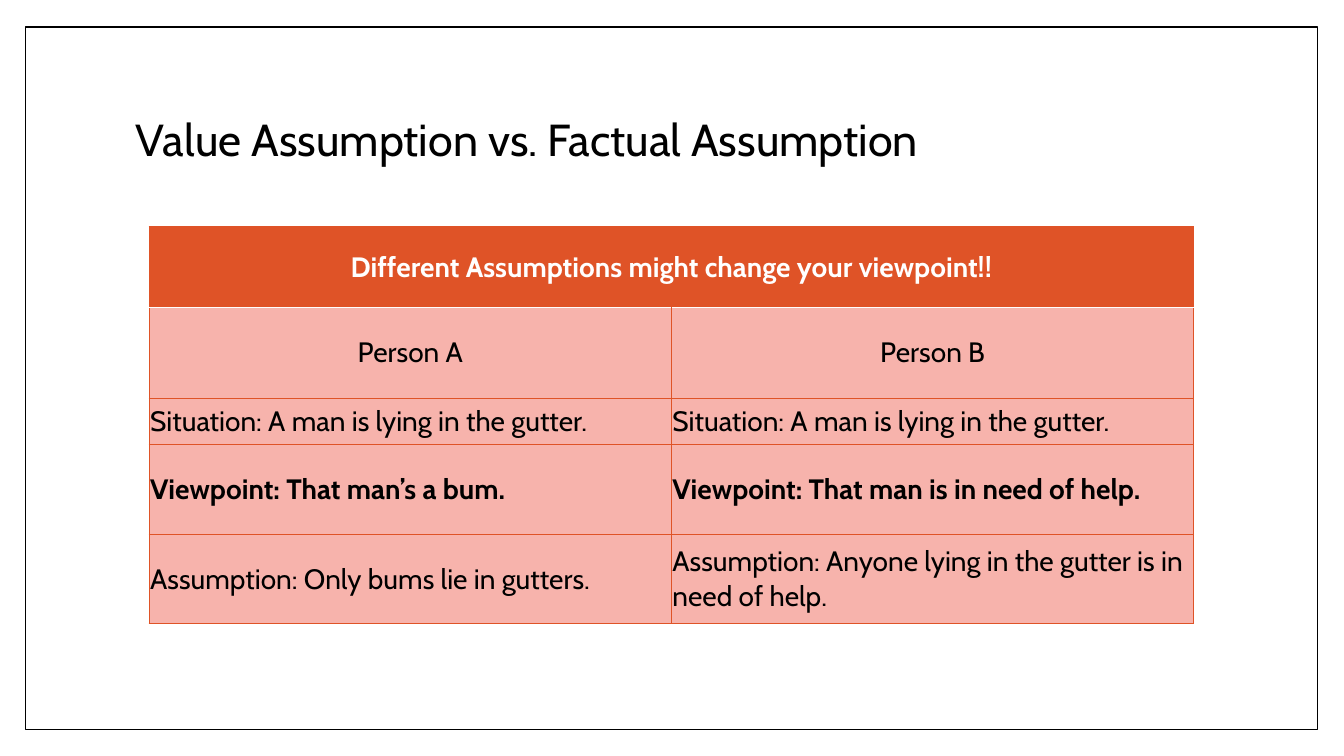
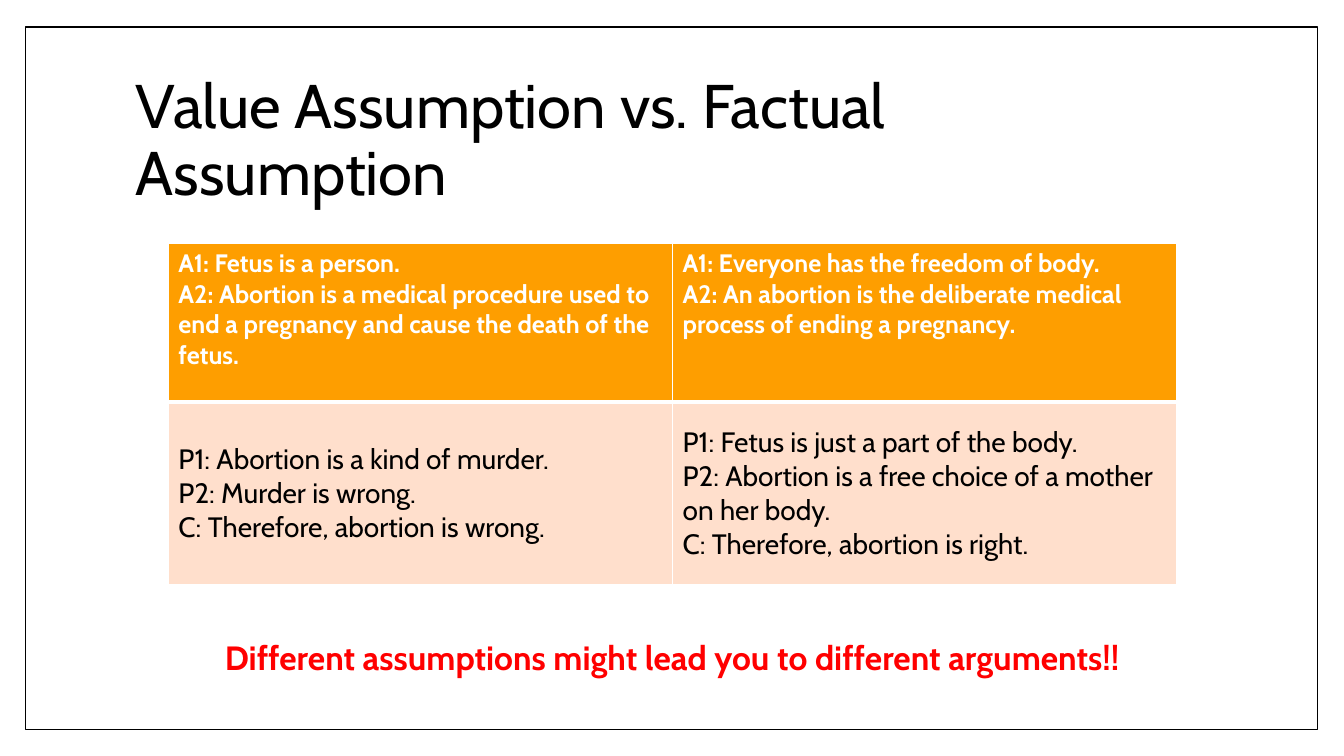
from dataclasses import dataclass

import pptx
import pptx.dml.color
import pptx.enum.shapes
import pptx.enum.text
import pptx.oxml
import pptx.oxml.ns
import pptx.slide
import pptx.table
import pptx.text.text
import pptx.util

EMU_PER_PX = 9144  # 100 px to the inch
FONT = "Cabin"
BLACK, WHITE, RED = "000000", "FFFFFF", "FF0000"
RUST, ROSE = "DF5327", "F7B3AC"
ORANGE, PEACH = "FE9E00", "FFDFCC"
TITLE = "Value Assumption vs. Factual Assumption"

Align = pptx.enum.text.PP_ALIGN
Anchor = pptx.enum.text.MSO_ANCHOR


@dataclass(frozen=True)
class Box:
    left: int
    top: int
    width: int
    height: int

    def emu(self) -> tuple[int, int, int, int]:
        return px(self.left), px(self.top), px(self.width), px(self.height)


@dataclass(frozen=True)
class TextStyle:
    size: int
    color: str = BLACK
    bold: bool = False
    align: Align = Align.LEFT
    line_spacing: float = 1.0


@dataclass(frozen=True)
class Row:
    height: int
    texts: tuple[str, ...]
    style: TextStyle
    fill: str
    anchor: Anchor = Anchor.MIDDLE


@dataclass(frozen=True)
class Grid:
    left: int
    top: int
    col_width: int
    rows: tuple[Row, ...]
    line_color: str
    line_width: float
    header_rule: float  # white line under the first row, in points
    inset_x: int
    inset_y: int


FRAME = Box(25, 27, 1282, 697)
TITLE_BOX = Box(125, 67, 1080, 148)
CLOSING_BOX = Box(203, 627, 927, 50)

HEADING = TextStyle(20, WHITE, bold=True, align=Align.CENTER)
PERSON = TextStyle(20, align=Align.CENTER)
BODY = TextStyle(20)
VIEWPOINT = TextStyle(20, bold=True)
ASSUMPTIONS = TextStyle(18, WHITE, bold=True)
CLOSING = TextStyle(24, RED, bold=True, align=Align.CENTER)

VIEWPOINTS = Grid(
    148, 225, 518,
    (
        Row(80, ("Different Assumptions might change your viewpoint!!",), HEADING, RUST),
        Row(90, ("Person A", "Person B"), PERSON, ROSE),
        Row(46, ("Situation: A man is lying in the gutter.",) * 2, BODY, ROSE),
        Row(89, ("Viewpoint: That man’s a bum.",
                 "Viewpoint: That man is in need of help."), VIEWPOINT, ROSE),
        Row(89, ("Assumption: Only bums lie in gutters.",
                 "Assumption: Anyone lying in the gutter is in need of help."), BODY, ROSE),
    ),
    RUST, 0.79, 1.5, 1, 1,
)

ARGUMENTS = Grid(
    167, 241, 500,
    (
        Row(158, ("A1: Fetus is a person.\n"
                  "A2: Abortion is a medical procedure used to end a pregnancy "
                  "and cause the death of the fetus.",
                  "A1: Everyone has the freedom of body.\n"
                  "A2: An abortion is the deliberate medical process of ending a pregnancy."),
            ASSUMPTIONS, ORANGE, Anchor.TOP),
        Row(181, ("P1: Abortion is a kind of murder.\n"
                  "P2: Murder is wrong.\n"
                  "C: Therefore, abortion is wrong.",
                  "P1: Fetus is just a part of the body.\n"
                  "P2: Abortion is a free choice of a mother on her body.\n"
                  "C: Therefore, abortion is right."), BODY, PEACH),
    ),
    WHITE, 1, 3, 10, 5,
)


def px(length: int) -> int:
    return pptx.util.Emu(length * EMU_PER_PX)


def rgb(color: str) -> pptx.dml.color.RGBColor:
    return pptx.dml.color.RGBColor.from_string(color)


def write(tf: pptx.text.text.TextFrame, text: str, style: TextStyle) -> None:
    """Fill a text frame, one paragraph for each line of text."""
    tf.text = text
    for p in tf.paragraphs:
        p.alignment = style.align
        p.line_spacing = style.line_spacing
        p.font.name = FONT
        p.font.size = pptx.util.Pt(style.size)
        p.font.bold = style.bold
        p.font.color.rgb = rgb(style.color)


def add_text(slide: pptx.slide.Slide, box: Box, text: str, style: TextStyle,
             wrap: bool = True) -> None:
    tf = slide.shapes.add_textbox(*box.emu()).text_frame
    tf.word_wrap = wrap
    tf.vertical_anchor = Anchor.MIDDLE
    write(tf, text, style)


def add_base_slide(prs: pptx.presentation.Presentation, title_size: int) -> pptx.slide.Slide:
    """Add a slide with the shared frame and title."""
    slide = prs.slides.add_slide(prs.slide_layouts[6])
    sp = slide.shapes.add_shape(pptx.enum.shapes.MSO_SHAPE.RECTANGLE, *FRAME.emu())
    sp.shadow.inherit = False
    sp.fill.solid()
    sp.fill.fore_color.rgb = rgb(WHITE)
    sp.line.color.rgb = rgb(BLACK)
    sp.line.width = pptx.util.Pt(1)
    add_text(slide, TITLE_BOX, TITLE, TextStyle(title_size, line_spacing=0.9))
    return slide


def set_borders(cell: pptx.table._Cell, row: int, grid: Grid) -> None:
    tc_pr = cell._tc.get_or_add_tcPr()
    rule_side = {0: "B", 1: "T"}.get(row)
    for i, side in enumerate("LRTB"):
        color, width = grid.line_color, grid.line_width
        if side == rule_side:
            color, width = WHITE, grid.header_rule
        tc_pr.insert(i, pptx.oxml.parse_xml(
            f'<a:ln{side} {pptx.oxml.ns.nsdecls("a")} w="{pptx.util.Pt(width)}">'
            f'<a:solidFill><a:srgbClr val="{color}"/></a:solidFill></a:ln{side}>'))


def add_grid(slide: pptx.slide.Slide, grid: Grid) -> None:
    """Add a two-column table; a row with one text spans both columns."""
    box = Box(grid.left, grid.top, 2 * grid.col_width, sum(row.height for row in grid.rows))
    table = slide.shapes.add_table(len(grid.rows), 2, *box.emu()).table
    for i, row in enumerate(grid.rows):
        table.rows[i].height = px(row.height)
        for j in range(2):
            cell = table.cell(i, j)
            cell.fill.solid()
            cell.fill.fore_color.rgb = rgb(row.fill)
            cell.vertical_anchor = row.anchor
            cell.margin_left = cell.margin_right = px(grid.inset_x)
            cell.margin_top = cell.margin_bottom = px(grid.inset_y)
            set_borders(cell, i, grid)
        for j, text in enumerate(row.texts):
            write(table.cell(i, j).text_frame, text, row.style)
        if len(row.texts) == 1:
            table.cell(i, 0).merge(table.cell(i, 1))


def main() -> None:
    prs = pptx.Presentation()
    prs.slide_width, prs.slide_height = px(1333), px(750)

    add_grid(add_base_slide(prs, title_size=32), VIEWPOINTS)

    slide = add_base_slide(prs, title_size=44)
    add_grid(slide, ARGUMENTS)
    add_text(slide, CLOSING_BOX, "Different assumptions might lead you to different arguments!!",
             CLOSING, wrap=False)

    prs.save("out.pptx")


if __name__ == "__main__":
    main()
